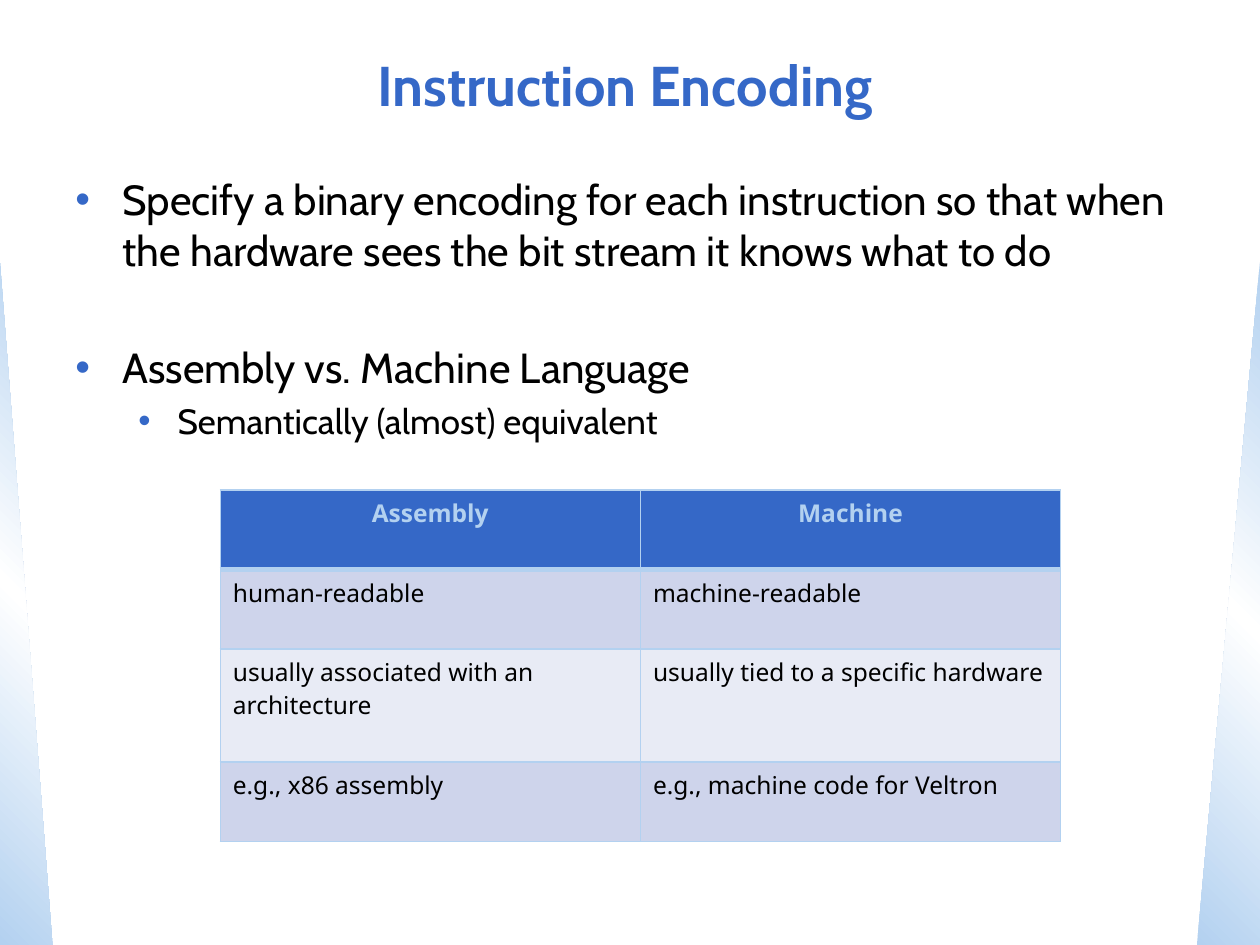
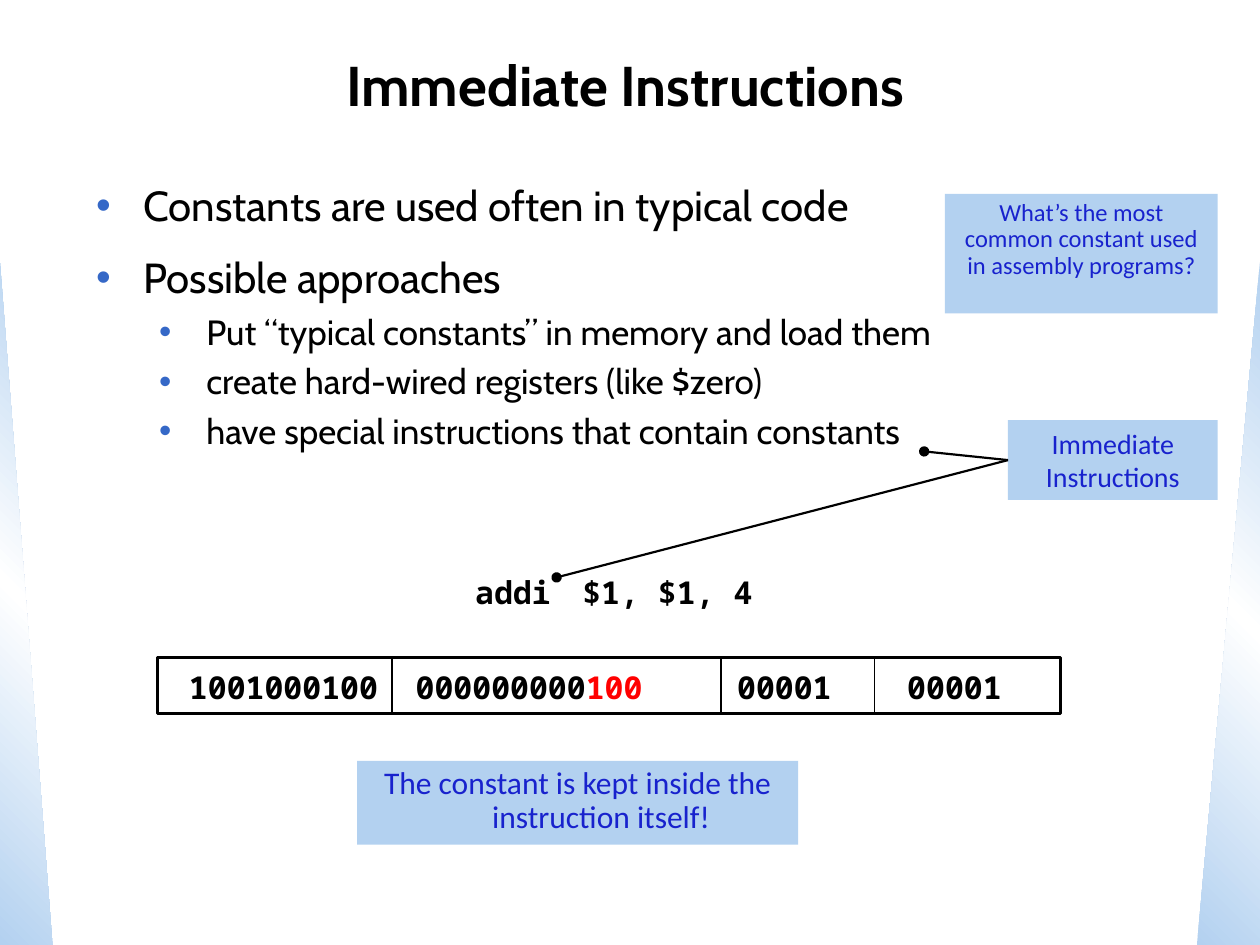
from collections import namedtuple
from itertools import product

from lxml import etree
from pptx import Presentation
from pptx.dml.color import RGBColor
from pptx.enum.shapes import MSO_CONNECTOR as Line, MSO_SHAPE as Preset
from pptx.enum.text import MSO_ANCHOR as Anchor, PP_ALIGN as Align
from pptx.oxml.ns import qn
from pptx.util import Cm, Pt

COLORS = {
    "blue": "3568C7", "sky": "B3D1F0", "white": "FFFFFF", "black": "000000",
    "ink": "1822CD", "red": "FF0000", "row_dark": "CED4EB", "row_light": "E8EBF5",
}
HEADING, NOTE, TABLE, CODE = "Cabin", "Calibri", "Noto Sans", "Noto Sans Mono"
Box = namedtuple("Box", "x y w h")
Level = namedtuple("Level", "size margin hang before spacing")
PAGE = Box(0, 0, 25.4, 19.05)
TITLE = Box(0.64, 0.64, 23.93, 2.11)


def rgb(name):
    return RGBColor.from_string(COLORS[name])


def cm(box):
    return [Cm(length) for length in box]


def child(parent, tag, **attributes):
    values = {key: str(value) for key, value in attributes.items()}
    return etree.SubElement(parent, qn(tag), values)


def color_child(parent, name):
    child(parent, "a:srgbClr", val=COLORS[name])


def add_text(paragraph, text, font, size, color, bold=False):
    run = paragraph.add_run()
    run.text = text
    run.font.name = font
    run.font.size = Pt(size)
    run.font.bold = bold
    run.font.color.rgb = rgb(color)


def indent(paragraph, margin, hang):
    properties = paragraph._p.get_or_add_pPr()
    properties.set("marL", str(Cm(margin)))
    properties.set("indent", str(-Cm(hang)))
    return properties


def add_tabs(paragraph, stops):
    tabs = child(paragraph._p.get_or_add_pPr(), "a:tabLst")
    for stop in stops:
        child(tabs, "a:tab", pos=Cm(stop), algn="l")


def add_frame(slide, box):
    frame = slide.shapes.add_textbox(*cm(box)).text_frame
    frame.word_wrap = True
    return frame


def add_block(slide, preset, box):
    block = slide.shapes.add_shape(preset, *cm(box))
    block.shadow.inherit = False
    block.line.fill.background()
    return block


def add_line(slide, start, end, width):
    line = slide.shapes.add_connector(Line.STRAIGHT, *cm(start + end))
    line.line.color.rgb = rgb("black")
    line.line.width = Pt(width)
    child(line._element.spPr, "a:effectLst")
    return line


def add_side_band(slide, box, angle, mirrored=False):
    band = add_block(slide, Preset.RIGHT_TRIANGLE, box)
    properties = band._element.spPr
    gradient = etree.Element(qn("a:gradFill"), rotWithShape="1")
    stops = child(gradient, "a:gsLst")
    for position, color in ((0, "sky"), (50000, "white"), (100000, "sky")):
        color_child(child(stops, "a:gs", pos=position), color)
    child(gradient, "a:lin", ang=angle * 60000, scaled=0)
    properties.find(qn("a:prstGeom")).addnext(gradient)
    if mirrored:
        properties.find(qn("a:xfrm")).set("flipH", "1")


def add_themed_slide(deck, title, color):
    slide = deck.slides.add_slide(deck.slide_layouts[6])
    fill = slide.background.fill
    fill.solid()
    fill.fore_color.rgb = rgb("white")
    top, height = 5.29, PAGE.h - 5.29
    add_side_band(slide, Box(0, top, 1.06, height), 315)
    add_side_band(slide, Box(PAGE.w - 1.27, top, 1.27, height), 45, mirrored=True)
    heading = add_frame(slide, TITLE)
    heading.vertical_anchor = Anchor.MIDDLE
    heading.paragraphs[0].alignment = Align.CENTER
    add_text(heading.paragraphs[0], title, HEADING, 32, color, bold=True)
    return slide


def add_bullets(slide, box, levels, points):
    frame = add_frame(slide, box)
    for number, (depth, text) in enumerate(points):
        point = frame.add_paragraph() if number else frame.paragraphs[0]
        level = levels[depth]
        point.level = depth
        point.line_spacing = level.spacing
        point.space_before = Pt(level.before if number else 0)
        properties = indent(point, level.margin, level.hang)
        color_child(child(properties, "a:buClr"), "blue")
        child(properties, "a:buFont", typeface="Arial")
        child(properties, "a:buChar", char="•")
        add_text(point, text, HEADING, level.size, "black")


def add_border(cell, side, width):
    border = child(cell._tc.get_or_add_tcPr(), f"a:ln{side}", w=Pt(width))
    color_child(child(border, "a:solidFill"), "sky")


def add_comparison(slide, box, rows, heights):
    columns = len(rows[0])
    table = slide.shapes.add_table(len(rows), columns, *cm(box)).table
    for column in table.columns:
        column.width = Cm(box.w / columns)
    for row, height in zip(table.rows, heights):
        row.height = Cm(height)
    for r, c in product(range(len(rows)), range(columns)):
        cell = table.cell(r, c)
        header = r == 0
        for side in "LRTB":
            heavy = (r, side) in ((0, "B"), (1, "T"))
            add_border(cell, side, 3 if heavy else 1)
        cell.fill.solid()
        cell.fill.fore_color.rgb = rgb(
            "blue" if header else "row_dark" if r % 2 else "row_light")
        entry = cell.text_frame.paragraphs[0]
        entry.alignment = Align.CENTER if header else Align.LEFT
        add_text(entry, rows[r][c], TABLE, 14, "sky" if header else "black", header)


def add_callout(slide, box, text, size, spacing=1.0, hang=0):
    callout = add_block(slide, Preset.RECTANGLE, box)
    callout.fill.solid()
    callout.fill.fore_color.rgb = rgb("sky")
    frame = callout.text_frame
    frame.word_wrap = True
    frame.vertical_anchor = Anchor.TOP
    remark = frame.paragraphs[0]
    remark.alignment = Align.CENTER
    remark.line_spacing = spacing
    indent(remark, hang, hang)
    add_text(remark, text, NOTE, size, "ink")
    return callout


def add_pointers(slide, callout, targets):
    for target in targets:
        pointer = add_line(slide, (0, 0), target, 1.25)
        pointer.begin_connect(callout, 1)
        outline = pointer.line._get_or_add_ln()
        child(outline, "a:tailEnd", type="oval")


def add_assembly(slide, box):
    frame = add_frame(slide, box)
    frame.margin_left = Cm(1.32)
    command = frame.paragraphs[0]
    add_tabs(command, [2.16])
    add_text(command, "addi\t$1, $1, 4", CODE, 18, "black", bold=True)


def add_machine_word(slide, box):
    outline = add_block(slide, Preset.RECTANGLE, box)
    outline.fill.background()
    outline.line.color.rgb = rgb("black")
    outline.line.width = Pt(1.75)
    for offset in (4.72, 11.35, 14.45):
        x = box.x + offset
        add_line(slide, (x, box.y), (x, box.y + box.h), 1)
    frame = add_frame(slide, Box(box.x + 0.38, box.y + 0.08, box.w - 0.38, 1.04))
    bits = frame.paragraphs[0]
    add_tabs(bits, [4.57, 11.05, 14.48])
    for text, color in (("1001000100\t000000000", "black"), ("100", "red"),
                        ("\t00001\t00001", "black")):
        add_text(bits, text, CODE, 18, color, bold=True)


def build_encoding(deck):
    slide = add_themed_slide(deck, "Instruction Encoding", "blue")
    levels = [Level(24, 0.95, 0.95, 38.4, 1.0), Level(20, 2.06, 0.79, 4, 1.0)]
    add_bullets(slide, Box(1.27, 3.38, 22.86, 14.17), levels, [
        (0, "Specify a binary encoding for each instruction so that when "
            "the hardware sees the bit stream it knows what to do"),
        (0, "Assembly vs. Machine Language"),
        (1, "Semantically (almost) equivalent"),
    ])
    add_comparison(slide, Box(4.44, 9.88, 16.94, 7.08), [
        ("Assembly", "Machine"),
        ("human-readable", "machine-readable"),
        ("usually associated with an architecture",
         "usually tied to a specific hardware"),
        ("e.g., x86 assembly", "e.g., machine code for Veltron"),
    ], [1.6, 1.6, 2.28, 1.6])


def build_immediate(deck):
    slide = add_themed_slide(deck, "Immediate Instructions", "black")
    add_machine_word(slide, Box(3.18, 13.26, 18.2, 1.12))
    levels = [Level(24, 0.95, 0.95, 15.6, 0.9), Level(20, 2.22, 0.95, 8, 0.85)]
    add_bullets(slide, Box(1.69, 3.6, 22.01, 6.99), levels, [
        (0, "Constants are used often in typical code"),
        (0, "Possible approaches"),
        (1, "Put “typical constants” in memory and load them"),
        (1, "create hard-wired registers (like $zero)"),
        (1, "have special instructions that contain constants"),
    ])
    add_callout(slide, Box(7.2, 15.34, 8.89, 1.69),
                "The constant is kept inside the instruction itself!", 18, 0.9, 0.95)
    add_assembly(slide, Box(8.26, 11.43, 7.83, 1.02))
    label = add_callout(slide, Box(20.32, 8.47, 4.23, 1.61),
                        "Immediate Instructions", 16)
    add_pointers(slide, label, [(18.63, 9.1), (11.22, 11.64)])
    add_callout(slide, Box(19.05, 3.91, 5.5, 2.41),
                "What’s the most common constant used in assembly programs?", 14, 0.9)


def main():
    deck = Presentation()
    deck.slide_width, deck.slide_height = Cm(PAGE.w), Cm(PAGE.h)
    build_encoding(deck)
    build_immediate(deck)
    deck.save("out.pptx")


if __name__ == "__main__":
    main()
